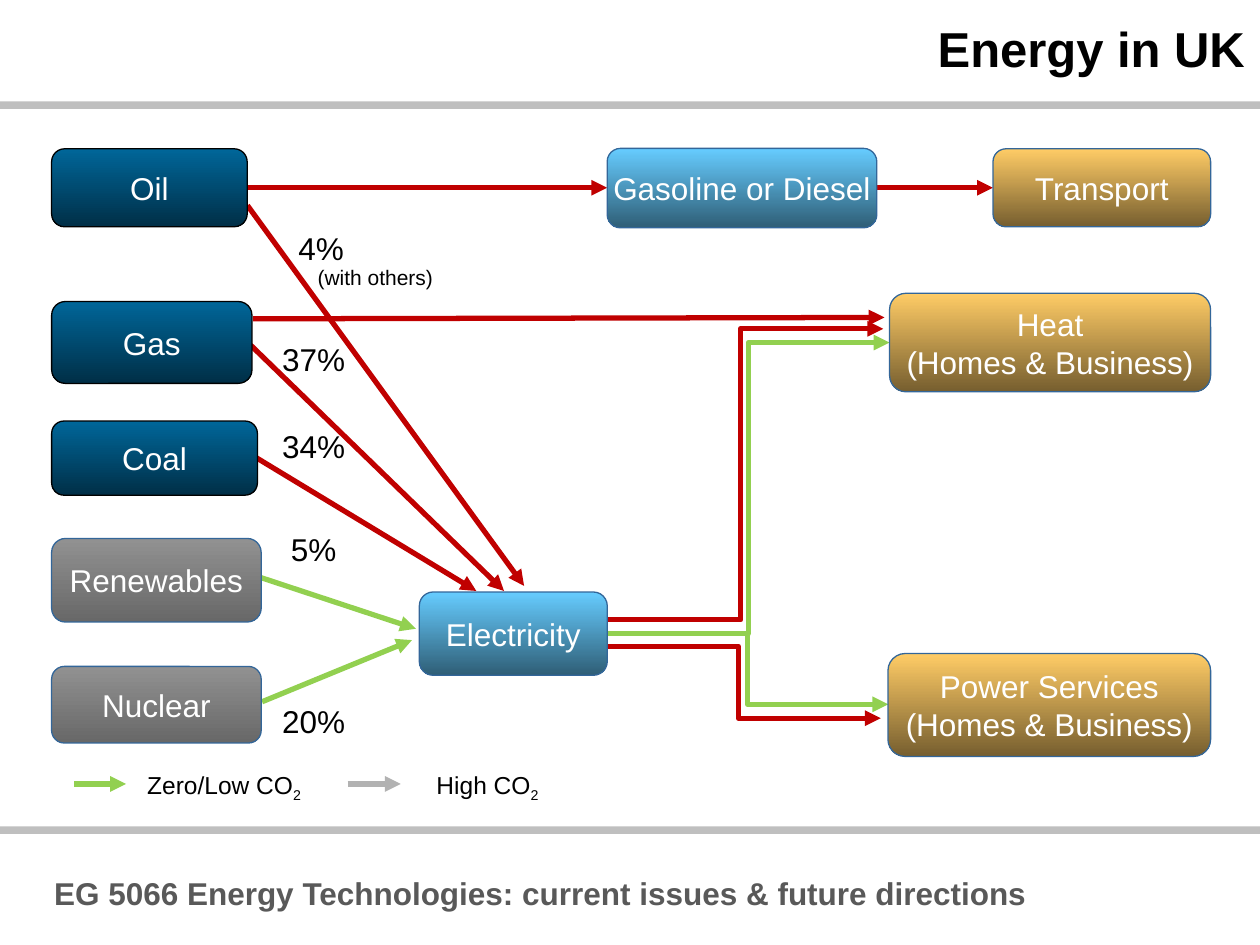
"""Build the 'Energy in UK' slide: fuel flows from sources to end uses."""
import lxml.etree
import pptx
import pptx.dml.color
import pptx.enum.shapes
import pptx.enum.text
import pptx.oxml.ns
import pptx.util

Pt = pptx.util.Pt
RGB = pptx.dml.color.RGBColor.from_string
qn = pptx.oxml.ns.qn
SHAPE = pptx.enum.shapes.MSO_SHAPE
LINE = pptx.enum.shapes.MSO_CONNECTOR.STRAIGHT
BENT = pptx.enum.shapes.MSO_CONNECTOR.ELBOW
ALIGN = pptx.enum.text.PP_ALIGN

THEME = {
    "font": "Arial",
    "black": "000000", "white": "FFFFFF", "bar": "BFBFBF", "footer": "595959",
    "high": "C00000", "low": "92D050", "key": "B2B2B2",
    "fossil": ("006699", "002F47", "000000"),
    "clean": ("919191", "686868", "336699"),
    "carrier": ("66CCFF", "2F5E76", "336699"),
    "use": ("FFCC66", "765E2F", "336699"),
    "title_size": 28, "body_size": 18, "legend_size": 14, "note_size": 12,
}


def write(sp, text, size, color, bold=False, align=ALIGN.CENTER):
    tf = sp.text_frame
    tf.text = text
    tf.word_wrap = False
    for p in tf.paragraphs:
        p.alignment = align
        for r in p.runs:
            r.font.name = THEME["font"]
            r.font.size = Pt(THEME[size])
            r.font.bold = bold
            r.font.color.rgb = RGB(THEME[color])
    return tf


def add_text(x, y, w, h, text, size="body_size", color="black", bold=False, align=ALIGN.CENTER):
    sp = s.shapes.add_textbox(Pt(x), Pt(y), Pt(w), Pt(h))
    tf = write(sp, text, size, color, bold, align)
    tf.auto_size = pptx.enum.text.MSO_AUTO_SIZE.SHAPE_TO_FIT_TEXT
    return tf


prs = pptx.Presentation()
prs.slide_width, prs.slide_height = Pt(720), Pt(540)
s = prs.slides.add_slide(prs.slide_layouts[6])

for y in (58, 472.3):
    bar = s.shapes.add_shape(SHAPE.RECTANGLE, 0, Pt(y), Pt(720), Pt(4.3))
    bar.shadow.inherit = False
    bar.fill.solid()
    bar.fill.fore_color.rgb = RGB(THEME["bar"])
    bar.line.fill.background()

add_text(19.4, 496.1, 578.9, 28.8,
         "EG 5066 Energy Technologies: current issues & future directions",
         color="footer", bold=True)
add_text(526.3, 7.2, 192.2, 41, "Energy in UK", "title_size", bold=True, align=ALIGN.RIGHT)

shares = [
    ("4%", 163.4, 127.4, 40.3),
    ("37%", 154, 190.8, 50.4),
    ("34%", 154, 240.5, 50.4),
    ("5%", 159.1, 299.5, 40.3),
    ("20%", 154, 397.4, 50.4),
]
for text, x, y, w in shares:
    add_text(x, y, w, 28.8, text)
add_text(174.2, 147.6, 80.6, 21.6, "(with others)", "note_size")

for text, x, w in (("Zero/Low CO", 77, 102.2), ("High CO", 241.9, 73.4)):
    p = add_text(x, 436.3, w, 23.8, text, "legend_size").paragraphs[0]
    r = p.add_run()
    r.text = "2"
    r.font.name = THEME["font"]
    r.font.size = Pt(THEME["legend_size"])
    r.font.color.rgb = RGB(THEME["black"])
    r.font._element.set("baseline", "-25000")

flows = [
    (BENT, "low", 347, 362.2, 507.6, 402.5),
    (BENT, "low", 347, 362.2, 508.3, 195.8),
    (LINE, "low", 42.5, 448, 72, 448),
    (LINE, "key", 198.7, 448, 229, 448),
    (LINE, "high", 141.4, 117.4, 299.5, 334.8),
    (LINE, "high", 144.7, 182.2, 505.4, 181.4),
    (LINE, "high", 143.3, 197.3, 288, 337.7),
    (LINE, "high", 146.2, 261.4, 272.2, 337.7),
    (LINE, "low", 148.3, 329.8, 237.6, 359.3),
    (LINE, "low", 149.8, 401, 235.4, 365.8),
    (BENT, "high", 340.6, 369.4, 503.3, 410.4),
    (BENT, "high", 342, 354.2, 504.7, 187.9),
    (LINE, "high", 141.8, 107.3, 347, 107.3),
    (LINE, "high", 501.1, 107.3, 567.4, 107.3),
]
for kind, color, x1, y1, x2, y2 in flows:
    cxn = s.shapes.add_connector(kind, Pt(x1), Pt(y1), Pt(x2), Pt(y2))
    cxn.line.color.rgb = RGB(THEME[color])
    cxn.line.width = Pt(3)
    lxml.etree.SubElement(cxn.line._get_or_add_ln(), qn("a:tailEnd"), type="triangle")
    lxml.etree.SubElement(cxn._element.spPr, qn("a:effectLst"))

boxes = [
    ("Oil", "fossil", 29.5, 85, 111.8, 44.6),
    ("Gasoline or Diesel", "carrier", 347, 84.8, 154.1, 45.4),
    ("Transport", "use", 567.4, 85, 124.4, 44.6),
    ("Gas", "fossil", 29.5, 172.3, 114.5, 46.8),
    ("Coal", "fossil", 29.5, 240.6, 117.6, 42.4),
    ("Renewables", "clean", 29.5, 307.7, 119.8, 47.8),
    ("Nuclear", "clean", 29.5, 380.8, 119.8, 43.8),
    ("Heat\n(Homes & Business)", "use", 508.3, 167.6, 183.5, 56.3),
    ("Power Services\n(Homes & Business)", "use", 507.4, 373.5, 184.4, 58.8),
    ("Electricity", "carrier", 239.6, 338.3, 107.4, 47.6),
]
for text, group, x, y, w, h in boxes:
    sp = s.shapes.add_shape(SHAPE.ROUNDED_RECTANGLE, Pt(x), Pt(y), Pt(w), Pt(h))
    sp.shadow.inherit = False
    top, bottom, edge = THEME[group]
    sp.fill.gradient()
    sp.fill.gradient_angle = 270
    for stop, color in zip(sp.fill.gradient_stops, (top, bottom)):
        stop.color.rgb = RGB(color)
    sp.line.color.rgb = RGB(edge)
    sp.line.width = Pt(0.75)
    tf = write(sp, text, "body_size", "white")
    tf.vertical_anchor = pptx.enum.text.MSO_ANCHOR.MIDDLE

prs.save("out.pptx")
